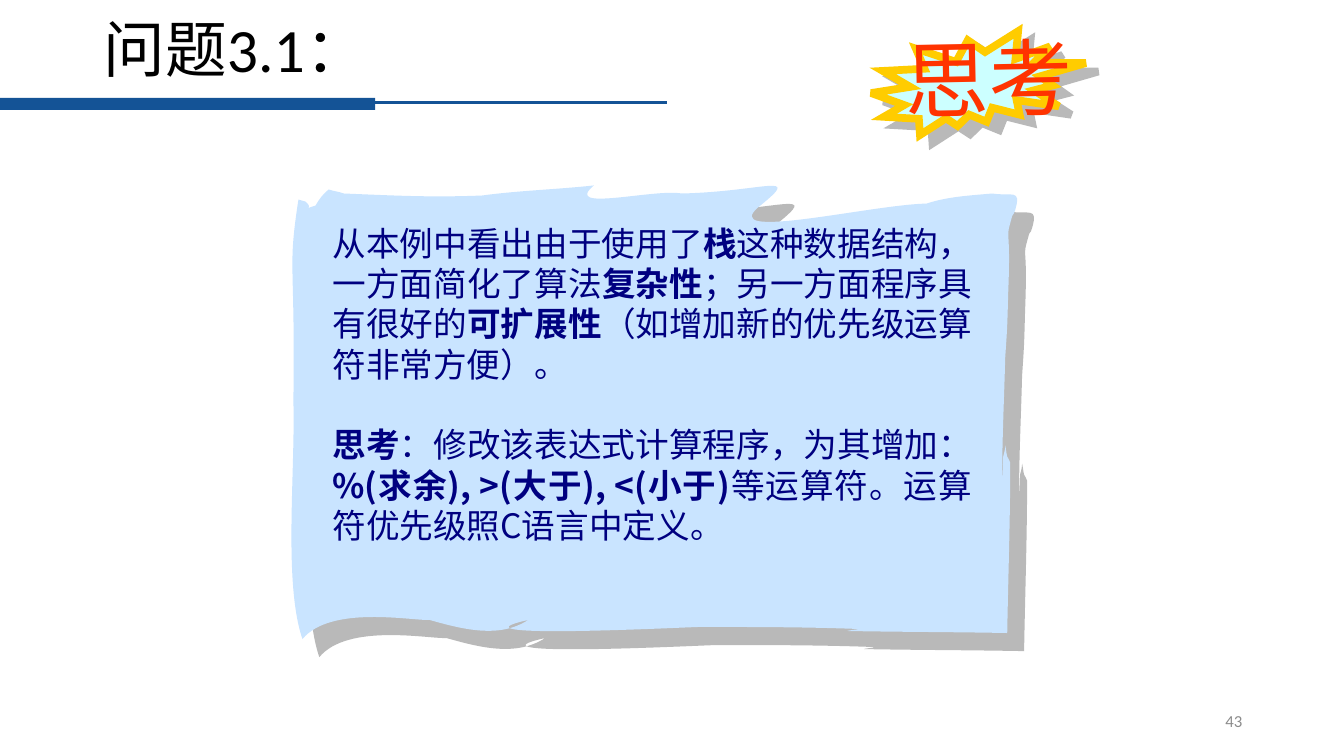
"""Build the slide for question 3.1: a torn paper note with a starburst label."""
from lxml.etree import SubElement
from pptx import Presentation
from pptx.dml.color import RGBColor
from pptx.enum.shapes import MSO_CONNECTOR, MSO_SHAPE
from pptx.enum.text import MSO_ANCHOR, PP_ALIGN
from pptx.oxml.ns import qn
from pptx.util import Inches, Pt

THEME = {
    "bar": "145396", "title": "000000", "number": "8C8C8C", "paper": "C9E4FF",
    "note": "000080", "burst": "CCFFFF", "edge": "FFCC00", "think": "FF3300",
    "shadow": "B9B9B9", "latin": "Calibri", "cjk": "Noto Sans CJK SC",
    "think_font": "Noto Sans CJK JP",
    "title_size": 44, "number_size": 12, "note_size": 24, "think_size": 60,
    "note_pitch": 28.8,
}
CELL = Inches(0.01)
COLS, ROWS = 1333, 750

prs = Presentation()
prs.slide_width, prs.slide_height = COLS * CELL, ROWS * CELL
s = prs.slides.add_slide(prs.slide_layouts[6])


def paint(sp, fill, distance=0, angle=0):
    sp.fill.solid()
    sp.fill.fore_color.rgb = RGBColor.from_string(THEME[fill])
    sp.line.fill.background()
    sp.shadow.inherit = False
    if distance:
        effects = sp._element.spPr.find(qn("a:effectLst"))
        shadow = SubElement(effects, qn("a:outerShdw"), dist=str(Pt(distance)),
                            dir=str(angle * 60000), algn="ctr", rotWithShape="0")
        SubElement(shadow, qn("a:srgbClr"), val=THEME["shadow"])


def add_text(box, paragraphs, style, font, align=PP_ALIGN.LEFT, anchor=MSO_ANCHOR.TOP):
    sp = s.shapes.add_textbox(*(v * CELL for v in box))
    tf = sp.text_frame
    tf.word_wrap = True
    tf.vertical_anchor = anchor
    for i, runs in enumerate(paragraphs):
        p = tf.add_paragraph() if i else tf.paragraphs[0]
        p.alignment = align
        for text, bold in runs:
            r = p.add_run()
            r.text = text
            r.font.size = Pt(THEME[style + "_size"])
            r.font.bold = bold
            r.font.color.rgb = RGBColor.from_string(THEME[style])
            r.font.name = THEME[font]
            ea = THEME["cjk"] if font == "latin" else THEME[font]
            SubElement(r._r.get_or_add_rPr(), qn("a:ea"), typeface=ea)
    return sp


bar = s.shapes.add_shape(MSO_SHAPE.RECTANGLE, 0, 97 * CELL, 372 * CELL, 12 * CELL)
paint(bar, "bar")
rule = s.shapes.add_connector(MSO_CONNECTOR.STRAIGHT, 368 * CELL, 102 * CELL,
                              662 * CELL, 102 * CELL)
rule.line.color.rgb = RGBColor.from_string(THEME["bar"])
rule.line.width = Pt(2.25)
SubElement(rule._element.spPr, qn("a:effectLst"))

title = add_text((93, 10, 1150, 85), [[("问题3.1：", False)]], "title", "latin",
                 anchor=MSO_ANCHOR.MIDDLE)
title.text_frame.paragraphs[0].line_spacing = 0.9
add_text((942, 695, 300, 40), [[("43", False)]], "number", "latin", PP_ALIGN.RIGHT,
         MSO_ANCHOR.MIDDLE)

curves = [
    (391, 194, 426, 196, 478, 194), (515, 189, 552, 188, 589, 184),
    (557, 211, 649, 187, 676, 192), (758, 190, 796, 170, 754, 204),
    (708, 241, 864, 203, 919, 202), (940, 195, 962, 194, 984, 192),
    (1004, 195, 1013, 187, 1007, 208), (1007, 211, 1005, 212, 1004, 214),
    (996, 243, 1003, 216, 1000, 290), (999, 327, 999, 325, 997, 355),
    (996, 394, 994, 434, 994, 473), (994, 480, 995, 460, 995, 453),
    (996, 449, 997, 446, 997, 442), (998, 446, 998, 449, 999, 453),
    (999, 455, 1002, 456, 1002, 459), (1002, 515, 1000, 571, 999, 628),
    (946, 627, 893, 627, 841, 626), (837, 626, 854, 624, 851, 624),
    (798, 622, 746, 622, 694, 622), (684, 622, 434, 635, 524, 615),
    (495, 634, 458, 624, 426, 615), (409, 616, 328, 600, 300, 634),
    (281, 578, 293, 469, 291, 398), (293, 254, 285, 270, 296, 198),
    (298, 199, 301, 199, 303, 200), (312, 207, 299, 208, 313, 204),
    (317, 197, 320, 193, 326, 188), (332, 190, 336, 190, 341, 192),
    (341, 192, 355, 197, 341, 192),
]
outline = s.shapes.build_freeform(341, 192, scale=CELL)
outline.add_line_segments([c[i:i + 2] for c in curves for i in (0, 2, 4)], close=True)
paper = outline.convert_to_shape()
paint(paper, "paper", 17.7, 47)
lines = list(paper._element.iter(qn("a:lnTo")))
for i in range(0, len(lines), 3):
    curve = lines[i].makeelement(qn("a:cubicBezTo"))
    lines[i].addprevious(curve)
    for line in lines[i:i + 3]:
        curve.append(line[0])
        line.getparent().remove(line)

note = add_text((320, 216, 654, 374), [
    [("从本例中看出由于使用了", False), ("栈", True),
     ("这种数据结构，一方面简化了算法", False), ("复杂性", True),
     ("；另一方面程序具有很好的", False), ("可扩展性", True),
     ("（如增加新的优先级运算符非常方便）。", False)],
    [("思考", True), ("：修改该表达式计算程序，为其增加：", False),
     ("%(求余), >(大于), <(小于)", True),
     ("等运算符。运算符优先级照C语言中定义。", False)],
], "note", "cjk", PP_ALIGN.JUSTIFY)
for p in note.text_frame.paragraphs:
    p.line_spacing = Pt(THEME["note_pitch"])
note.text_frame.paragraphs[1].space_before = Pt(THEME["note_pitch"])

burst = s.shapes.add_shape(MSO_SHAPE.EXPLOSION2, 864 * CELL, 31 * CELL,
                           213 * CELL, 103 * CELL)
paint(burst, "burst", 10.8, 34)
burst.line.color.rgb = RGBColor.from_string(THEME["edge"])
burst.line.width = Pt(5.5)
SubElement(burst._element.spPr.find(qn("a:ln")), qn("a:miter"), lim="800000")
think = add_text((888, 21, 244, 110), [[("思考", False)]], "think", "think_font")
think.rotation = 358.9

prs.save("out.pptx")
